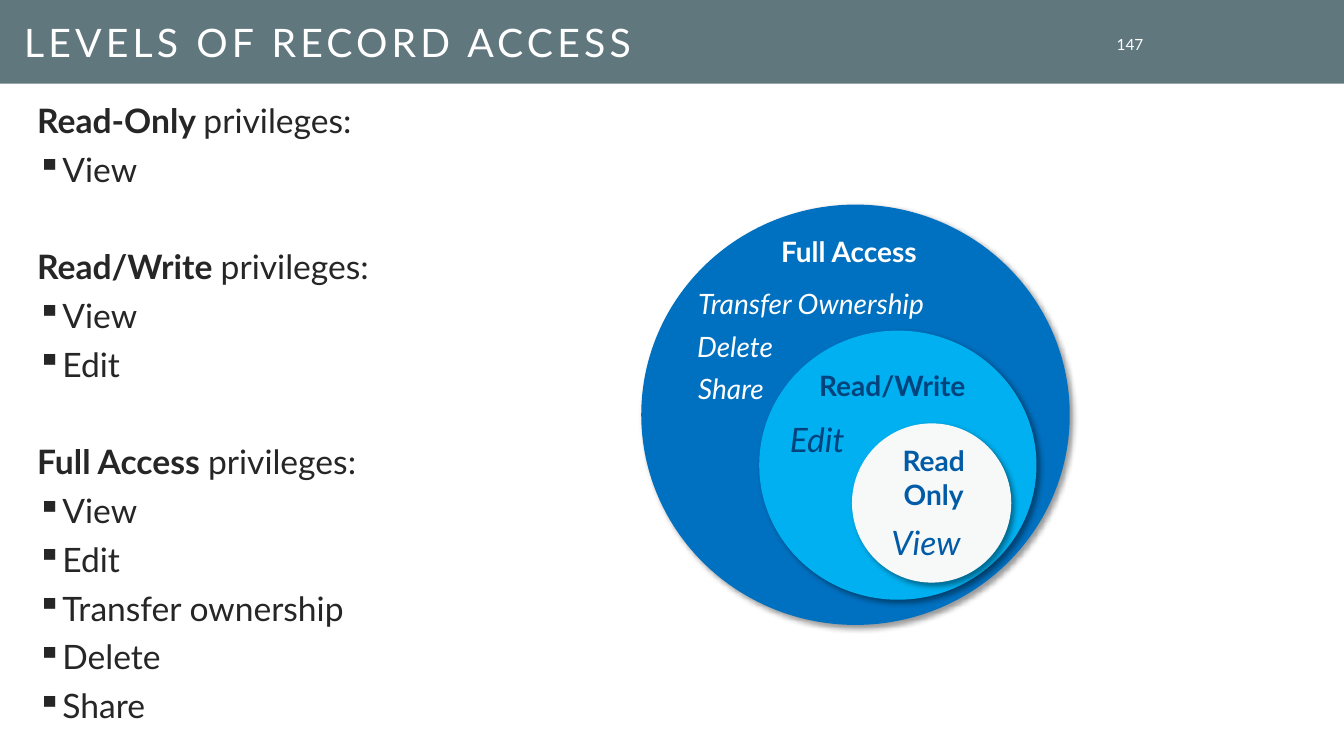
from dataclasses import dataclass

from lxml import etree
from pptx import Presentation
from pptx.dml.color import RGBColor
from pptx.enum import shapes, text
from pptx.oxml import ns
from pptx.util import Inches, Pt

TITLE = "LEVELS OF RECORD ACCESS"
PAGE_NUMBER = "147"

PRIVILEGES = [
    ("Read-Only", ["View"]),
    ("Read/Write", ["View", "Edit"]),
    ("Full Access", ["View", "Edit", "Transfer ownership", "Delete", "Share"]),
]


@dataclass(frozen=True)
class Theme:
    font: str = "Lato"
    banner: str = "60777E"
    body: str = "262626"
    white: str = "FFFFFF"
    outer_circle: str = "0070C0"
    middle_circle: str = "00B0F0"
    inner_circle: str = "F7F9F9"
    middle_label: str = "01447D"
    inner_label: str = "015BA7"
    title_size: int = 28
    large: int = 24
    label: int = 20
    small: int = 11


THEME = Theme()

# left, top, width, height, fill
CIRCLES = [
    (6.36, 2.03, 4.25, 4.17, THEME.outer_circle),
    (7.53, 3.28, 2.75, 2.67, THEME.middle_circle),
    (8.45, 4.2, 1.58, 1.58, THEME.inner_circle),
]

# lines, box, size, colour
LEVEL_NAMES = [
    (["Full Access"], (7.59, 2.28, 1.66, 0.44), THEME.label, THEME.white),
    (["Read/Write"], (7.96, 3.61, 1.78, 0.44), THEME.label, THEME.middle_label),
    (["Read", "Only"], (8.82, 4.35, 0.88, 0.77), THEME.label, THEME.inner_label),
]
LEVEL_RIGHTS = [
    (["View"], (8.72, 5.13, 0.93, 0.5), THEME.large, THEME.inner_label),
    (["Edit"], (7.71, 4.11, 0.79, 0.5), THEME.large, THEME.middle_label),
    (["Transfer Ownership"], (6.69, 2.79, 2.71, 0.44), THEME.label, THEME.white),
    (["Share"], (6.78, 3.64, 0.94, 0.44), THEME.label, THEME.white),
    (["Delete"], (6.78, 3.22, 1.02, 0.44), THEME.label, THEME.white),
]

LINE_GAP = 6
GROUP_GAP = 41
BULLET_INDENT = Inches(0.25)


def set_font(font, size, colour):
    font.name = THEME.font
    font.size = Pt(size)
    font.color.rgb = RGBColor.from_string(colour)


def add_filled(slide, kind, box, colour):
    shape = slide.shapes.add_shape(kind, *map(Inches, box))
    shape.shadow.inherit = False
    shape.fill.solid()
    shape.fill.fore_color.rgb = RGBColor.from_string(colour)
    shape.line.fill.background()
    return shape


def add_drop_shadow(shape):
    effects = shape._element.spPr.find(ns.qn("a:effectLst"))
    shadow = etree.SubElement(
        effects, ns.qn("a:outerShdw"), blurRad=str(Pt(4)), dist=str(Pt(3)),
        dir=str(45 * 60000), algn="tl", rotWithShape="0")
    colour = etree.SubElement(shadow, ns.qn("a:srgbClr"), val="000000")
    etree.SubElement(colour, ns.qn("a:alpha"), val="40000")


def add_text_frame(slide, box, wrap=True, top=0.05, bottom=0.05):
    frame = slide.shapes.add_textbox(*map(Inches, box)).text_frame
    frame.word_wrap = wrap
    frame.margin_top, frame.margin_bottom = Inches(top), Inches(bottom)
    return frame


def next_paragraph(frame, index):
    return frame.add_paragraph() if index else frame.paragraphs[0]


def add_bullet(paragraph):
    properties = paragraph._p.get_or_add_pPr()
    properties.set("marL", str(BULLET_INDENT))
    properties.set("indent", str(-BULLET_INDENT))
    etree.SubElement(properties, ns.qn("a:buChar"), char="▪")


def add_title(slide):
    frame = add_text_frame(slide, (0.14, 0, 10.45, 0.82), top=0.15)
    frame.vertical_anchor = text.MSO_ANCHOR.MIDDLE
    paragraph = frame.paragraphs[0]
    paragraph.line_spacing = 0.8
    run = paragraph.add_run()
    run.text = TITLE
    set_font(run.font, THEME.title_size, THEME.white)
    run._r.get_or_add_rPr().set("spc", "300")


def add_page_number(slide):
    frame = add_text_frame(slide, (10.91, 0.33, 0.53, 0.22), top=0, bottom=0)
    frame.vertical_anchor = text.MSO_ANCHOR.MIDDLE
    paragraph = frame.paragraphs[0]
    paragraph.text = PAGE_NUMBER
    paragraph.alignment = text.PP_ALIGN.RIGHT
    set_font(paragraph.font, THEME.small, THEME.white)


def add_privileges(slide):
    frame = add_text_frame(slide, (0.27, 0.94, 5.62, 6.4))
    for index, (level, rights) in enumerate(PRIVILEGES):
        heading = next_paragraph(frame, index)
        if index:
            heading.space_before = Pt(GROUP_GAP)
        set_font(heading.font, THEME.large, THEME.body)
        name = heading.add_run()
        name.text = f"{level} "
        name.font.bold = True
        heading.add_run().text = "privileges:"
        for right in rights:
            item = frame.add_paragraph()
            item.text = right
            item.level = 1
            item.space_before = Pt(LINE_GAP)
            add_bullet(item)
            set_font(item.font, THEME.large, THEME.body)


def add_label(slide, lines, box, size, colour, bold=False, italic=False):
    frame = add_text_frame(slide, box, wrap=False)
    frame.auto_size = text.MSO_AUTO_SIZE.SHAPE_TO_FIT_TEXT
    for index, line in enumerate(lines):
        paragraph = next_paragraph(frame, index)
        paragraph.text = line
        paragraph.alignment = text.PP_ALIGN.CENTER
        set_font(paragraph.font, size, colour)
        paragraph.font.bold, paragraph.font.italic = bold, italic


def main():
    presentation = Presentation()
    presentation.slide_width = Inches(13.33)
    presentation.slide_height = Inches(7.5)
    slide = presentation.slides.add_slide(presentation.slide_layouts[6])

    add_filled(slide, shapes.MSO_SHAPE.RECTANGLE, (0, 0, 13.33, 0.83), THEME.banner)
    add_privileges(slide)
    add_title(slide)
    for *box, colour in CIRCLES:
        add_drop_shadow(add_filled(slide, shapes.MSO_SHAPE.OVAL, box, colour))
    for name in LEVEL_NAMES:
        add_label(slide, *name, bold=True)
    for right in LEVEL_RIGHTS:
        add_label(slide, *right, italic=True)
    add_page_number(slide)

    presentation.save("out.pptx")


if __name__ == "__main__":
    main()
